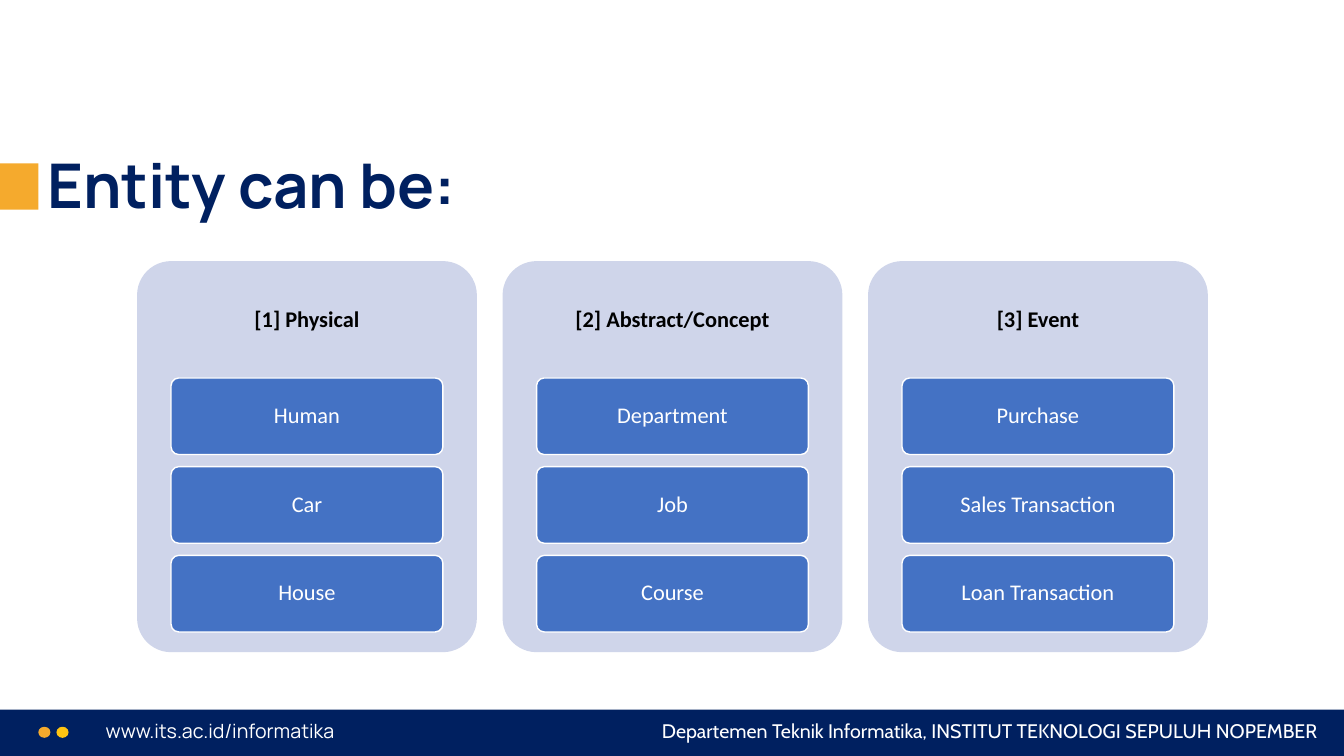
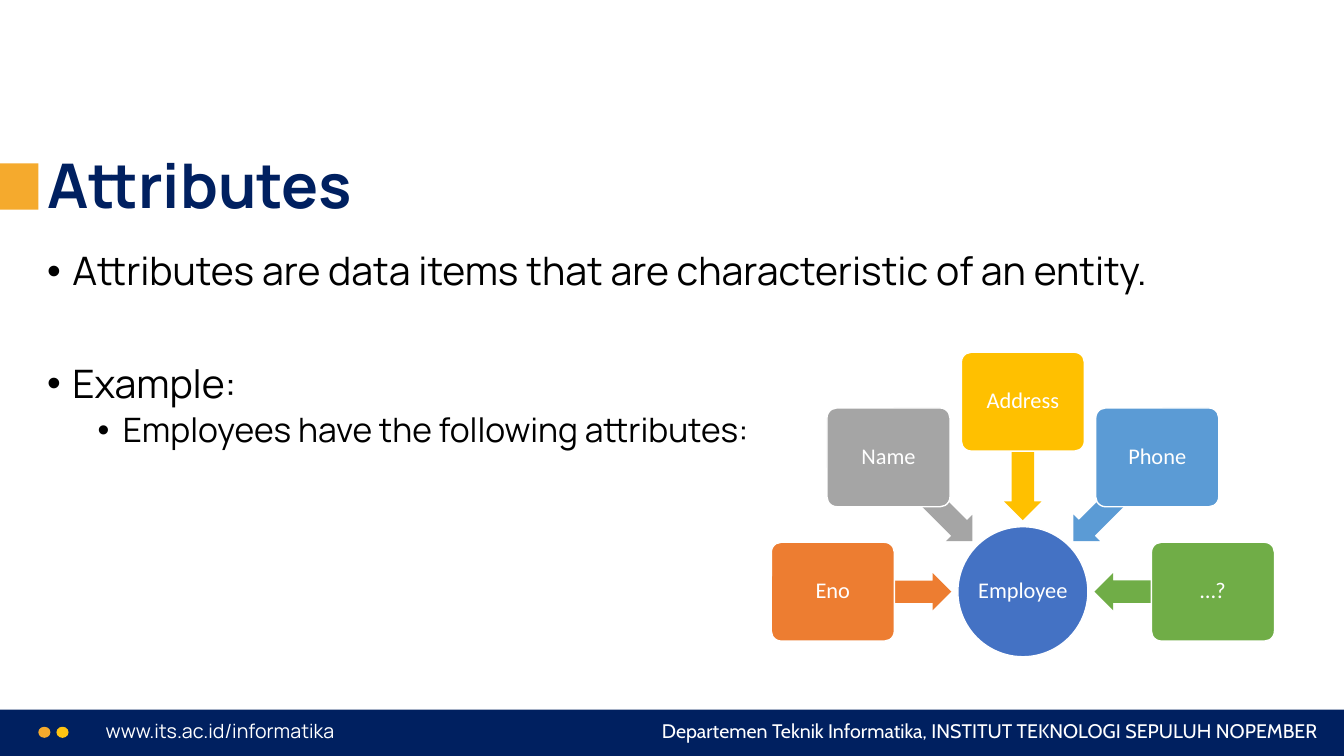
from math import cos, radians, sin

from lxml.etree import SubElement
from pptx import Presentation
from pptx.dml.color import RGBColor
from pptx.enum.shapes import MSO_SHAPE as Shape
from pptx.enum.text import MSO_ANCHOR as Anchor, PP_ALIGN as Align
from pptx.oxml.ns import qn
from pptx.util import Inches, Pt

NAVY, AMBER, GOLD = "002060", "F5AA2D", "FFC411"
WHITE, BLACK, BLUE, PALE = "FFFFFF", "000000", "4472C4", "CFD5EA"
HEAD, FOOT, LABEL = "Manrope", "Cabin", "Calibri"


def color(code):
    return RGBColor.from_string(code)


def put(para, text, size, font, shade, bold=False):
    """Add one run of text."""
    run = para.add_run()
    run.text = text
    run.font.size, run.font.name, run.font.bold = Pt(size), font, bold
    run.font.color.rgb = color(shade)


def draw(slide, kind, box, fill, line=None, adj=()):
    item = slide.shapes.add_shape(kind, *map(Inches, box))
    item.shadow.inherit = False
    item.fill.solid()
    item.fill.fore_color.rgb = color(fill)
    if line:
        item.line.color.rgb = color(line)
        item.line.width = Pt(1)
    else:
        item.line.fill.background()
    for i, value in enumerate(adj):
        item.adjustments[i] = value
    return item


def area(slide, box):
    frame = slide.shapes.add_textbox(*map(Inches, box)).text_frame
    frame.word_wrap = True
    return frame


def label(frame, text, shade=WHITE, bold=False):
    """Centre a short label in a frame."""
    frame.margin_left = frame.margin_right = 0
    frame.margin_top = frame.margin_bottom = 0
    frame.vertical_anchor = Anchor.MIDDLE
    para = frame.paragraphs[0]
    para.alignment, para.line_spacing = Align.CENTER, 0.9
    put(para, text, 16, LABEL, shade, bold)


def tile(slide, box, text, fill, kind=Shape.ROUNDED_RECTANGLE):
    """Filled shape with a label kept on one line."""
    adj = (0.1,) if kind == Shape.ROUNDED_RECTANGLE else ()
    frame = draw(slide, kind, box, fill, WHITE, adj).text_frame
    frame.word_wrap = False
    label(frame, text)


def footer(slide):
    draw(slide, Shape.RECTANGLE, (-0.16, 7.04, 13.65, 0.46), NAVY)
    for left, fill in ((0.38, AMBER), (0.56, GOLD)):
        draw(slide, Shape.OVAL, (left, 7.21, 0.12, 0.11), fill)
    site = area(slide, (0.95, 7.08, 4.28, 0.34)).paragraphs[0]
    put(site, "www.its.ac.id/informatika", 14, HEAD, WHITE)
    dept = area(slide, (5.91, 7.08, 7.26, 0.34)).paragraphs[0]
    dept.alignment = Align.RIGHT
    put(dept, "Departemen Teknik Informatika, INSTITUT TEKNOLOGI SEPULUH NOPEMBER",
        14, FOOT, WHITE)


def start(deck, text):
    """Add a slide with the shared title, marker and footer."""
    slide = deck.slides.add_slide(deck.slide_layouts[5])
    footer(slide)
    draw(slide, Shape.RECTANGLE, (0, 1.62, 0.38, 0.46), AMBER)
    title = slide.shapes.title
    title.left, title.top = Inches(0.37), Inches(1.38)
    title.width, title.height = Inches(12.66), Inches(0.87)
    title.text_frame.vertical_anchor = Anchor.BOTTOM
    para = title.text_frame.paragraphs[0]
    para.alignment, para.line_spacing = Align.LEFT, 0.9
    put(para, text, 44, HEAD, NAVY, True)
    return slide


def card(slide, box, head, items):
    """Panel with a heading above stacked tiles."""
    left, top, width, height = box
    draw(slide, Shape.ROUNDED_RECTANGLE, box, PALE, adj=(0.1,))
    label(area(slide, (left, top, width, height * 0.3)), head, BLACK, True)
    inset = width * 0.1
    for i, text in enumerate(items):
        spot = (left + inset, top + 1.16 + i * 0.88, width - 2 * inset, 0.76)
        tile(slide, spot, text, BLUE)


def cards(slide, box, groups):
    """Row of equal cards with equal gaps."""
    left, top, width, height = box
    wide = 3.37
    step = (width - wide) / (len(groups) - 1)
    for i, (head, items) in enumerate(groups):
        card(slide, (left + i * step, top, wide, height), head, items)


def points(slide, box, rows):
    """Bulleted list; each row is level, space before and text."""
    frame = area(slide, box)
    for i, (level, gap, text) in enumerate(rows):
        para = frame.add_paragraph() if i else frame.paragraphs[0]
        para.level = level
        props = para._p.get_or_add_pPr()
        props.set("marL", str(Inches(0.25 + 0.5 * level)))
        props.set("indent", str(Inches(-0.25)))
        SubElement(props, qn("a:buFont")).set("typeface", "Arial")
        SubElement(props, qn("a:buChar")).set("char", "•")
        para.line_spacing, para.space_before = 0.9, Pt(gap)
        put(para, text, 28 - 4 * level, HEAD, BLACK)


def mid(x, y, width, height):
    """Box centred on a point."""
    return x - width / 2, y - height / 2, width, height


def radial(slide, box, core, nodes):
    """Half ring of nodes with arrows pointing at the core."""
    left, top, width, height = box
    x, y, size = left + width / 2, top + height - 0.65, 1.29
    tile(slide, mid(x, y, size, size), core, BLUE, Shape.OVAL)
    ring = (width - 1.22) / 2
    for i, (text, fill) in enumerate(nodes):
        turn = 180 + i * 180 / (len(nodes) - 1)
        dx, dy = cos(radians(turn)), sin(radians(turn))
        arrow = draw(slide, Shape.LEFT_ARROW,
                     mid(x + 1.3 * dx, y + 1.3 * dy, 1.18, 0.37), fill,
                     adj=(0.6, 0.5))
        arrow.rotation = turn % 360
        tile(slide, mid(x + ring * dx, y + ring * dy, 1.22, 0.98), text, fill)


def main():
    deck = Presentation()
    deck.slide_width, deck.slide_height = Inches(13.33), Inches(7.5)

    # Kinds of entity
    slide = start(deck, "Entity can be:")
    cards(slide, (1.36, 2.59, 10.62, 3.88), (
        ("[1] Physical", ("Human", "Car", "House")),
        ("[2] Abstract/Concept", ("Department", "Job", "Course")),
        ("[3] Event", ("Purchase", "Sales Transaction", "Loan Transaction")),
    ))

    # Attributes of an employee
    slide = start(deck, "Attributes")
    points(slide, (0.37, 2.45, 12.66, 4.31), (
        (0, 0, "Attributes are data items that are characteristic of an entity."),
        (0, 50, "Example:"),
        (1, 5, "Employees have the following attributes:"),
    ))
    radial(slide, (7.65, 3.5, 4.99, 3.02), "Employee", (
        ("Eno", "ED7D31"), ("Name", "A5A5A5"), ("Address", "FFC000"),
        ("Phone", "5B9BD5"), ("…?", "70AD47"),
    ))
    deck.save("out.pptx")


if __name__ == "__main__":
    main()
